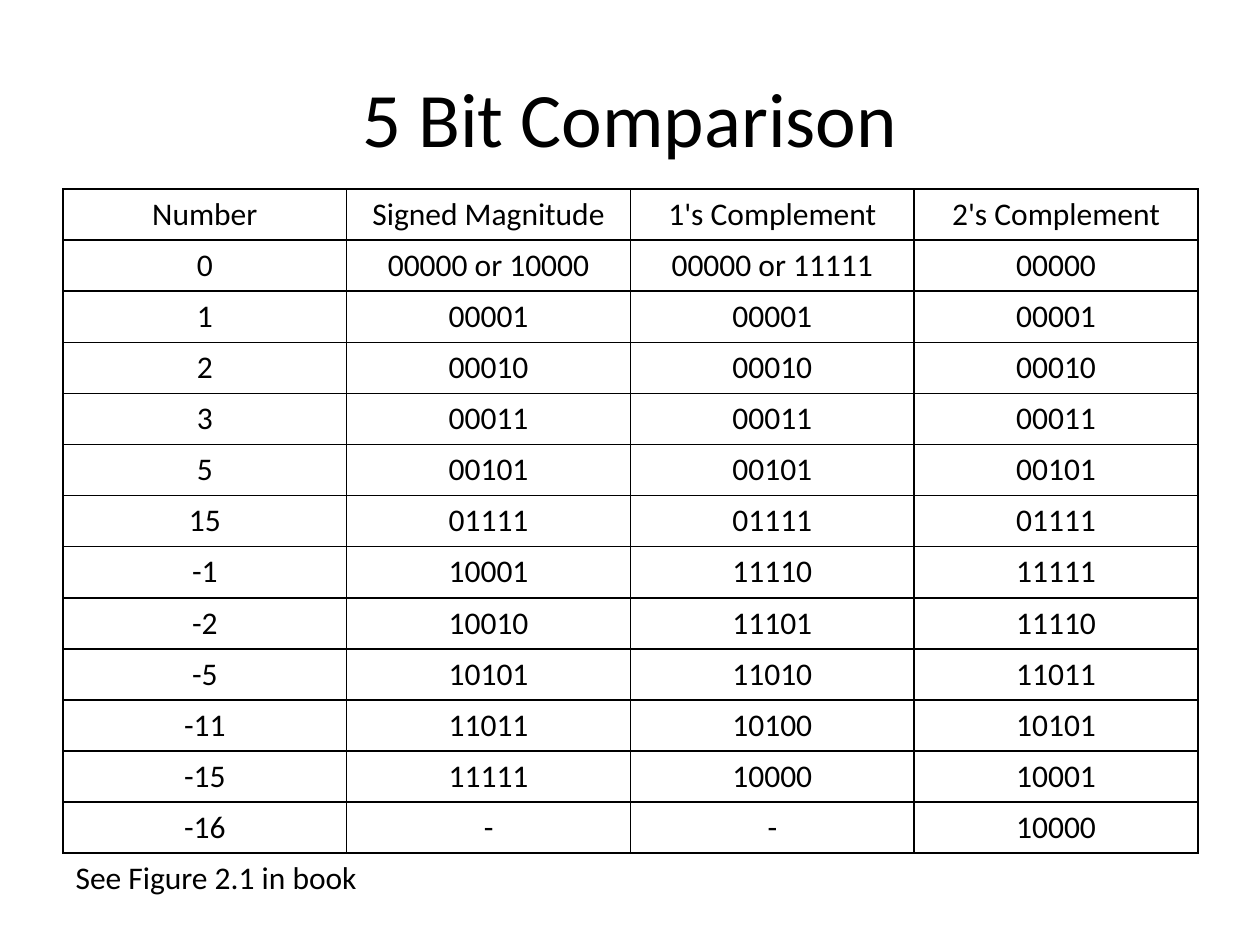
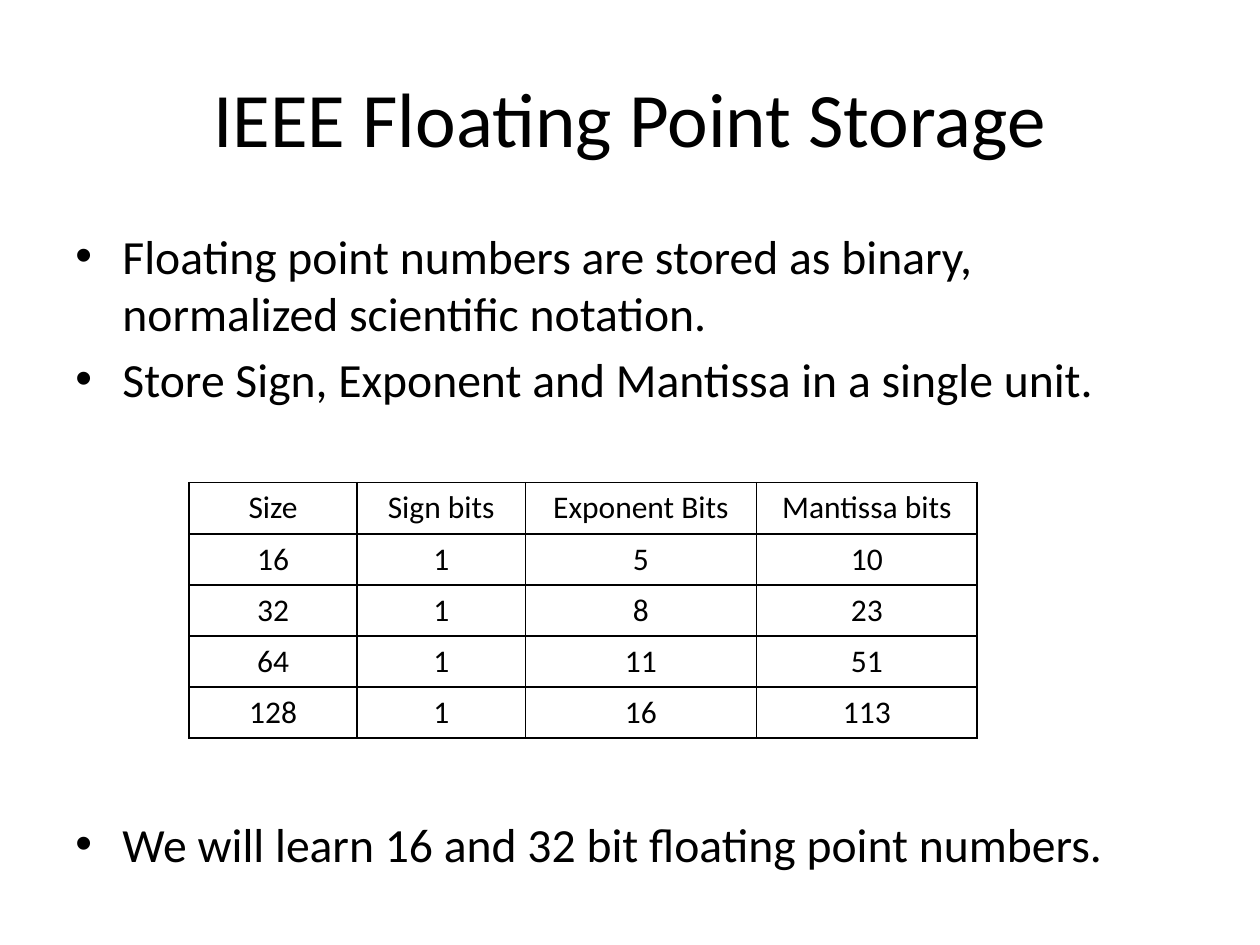
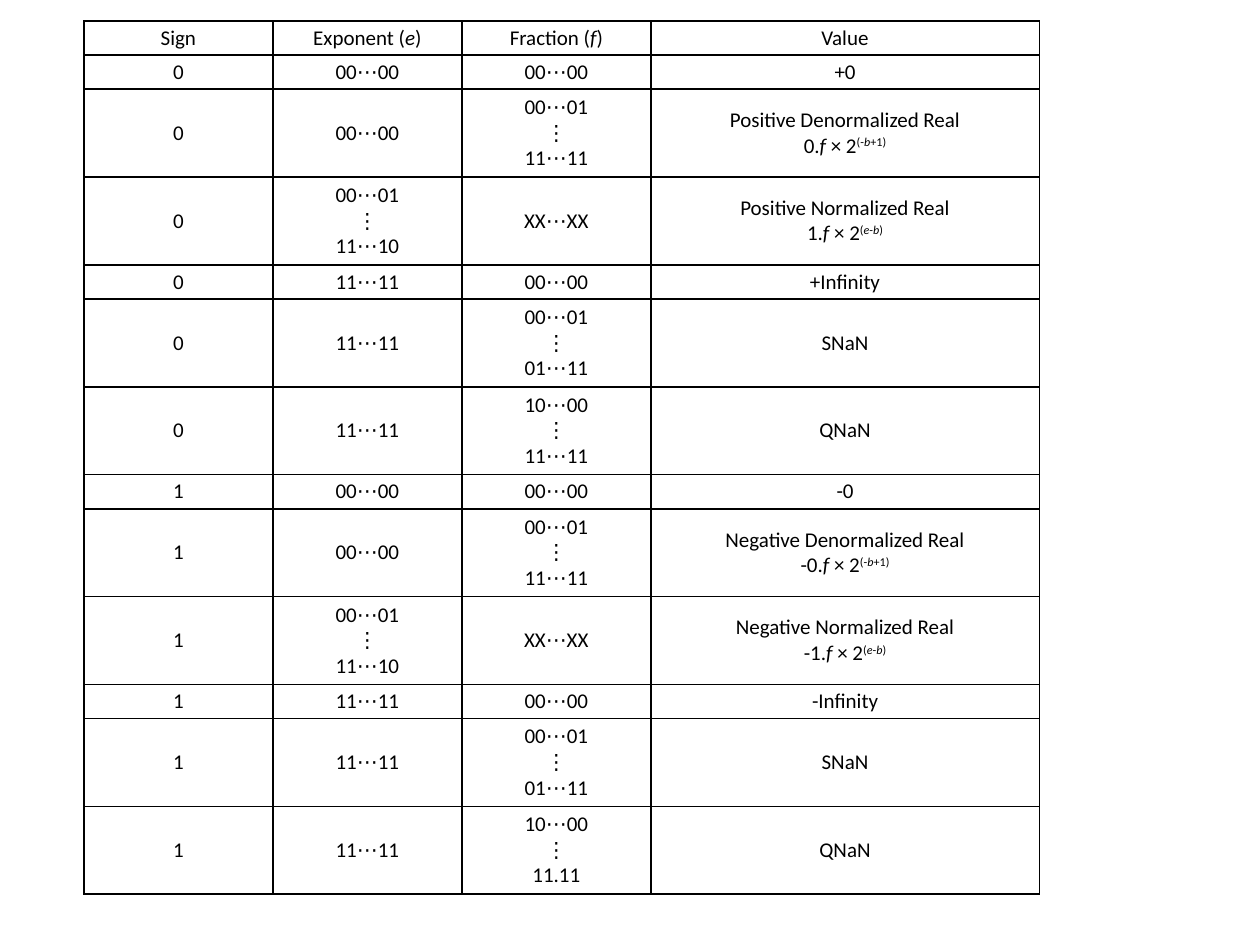
from lxml import etree
from pptx import Presentation
from pptx.dml.color import RGBColor
from pptx.enum.text import MSO_ANCHOR, PP_ALIGN
from pptx.oxml.ns import qn
from pptx.util import Cm, Pt

TOP, MIDDLE = MSO_ANCHOR.TOP, MSO_ANCHOR.MIDDLE
LEFT, CENTER = PP_ALIGN.LEFT, PP_ALIGN.CENTER

MARGIN = 1.27
CONTENT_WIDTH = 22.86
ROW_HEIGHT = 1.03

COMPARISON = [
    ["Number", "Signed Magnitude", "1's Complement", "2's Complement"],
    ["0", "00000 or 10000", "00000 or 11111", "00000"],
    ["1", "00001", "00001", "00001"],
    ["2", "00010", "00010", "00010"],
    ["3", "00011", "00011", "00011"],
    ["5", "00101", "00101", "00101"],
    ["15", "01111", "01111", "01111"],
    ["-1", "10001", "11110", "11111"],
    ["-2", "10010", "11101", "11110"],
    ["-5", "10101", "11010", "11011"],
    ["-11", "11011", "10100", "10101"],
    ["-15", "11111", "10000", "10001"],
    ["-16", "-", "-", "10000"],
]

STORAGE = [
    ["Size", "Sign bits", "Exponent Bits", "Mantissa bits"],
    ["16", "1", "5", "10"],
    ["32", "1", "8", "23"],
    ["64", "1", "11", "51"],
    ["128", "1", "16", "113"],
]


def color(hex_string):
    return RGBColor.from_string(hex_string)


def encoding_rows(sign_bit, sign, zero, word, last_fraction):
    """Rows for one sign; *x* marks italics and ^ starts a superscript."""
    zeros, ones = "00⋯00", "11⋯11"
    rows = [
        [zeros, zeros, f"{zero}0"],
        [zeros, "00⋯01\n⋮\n11⋯11", f"{word} Denormalized Real\n{sign}0.*f* × 2^(-*b*+1)"],
        ["00⋯01\n⋮\n11⋯10", "XX⋯XX", f"{word} Normalized Real\n{sign}1.*f* × 2^(*e*-*b*)"],
        [ones, zeros, f"{zero}Infinity"],
        [ones, "00⋯01\n⋮\n01⋯11", "SNaN"],
        [ones, f"10⋯00\n⋮\n{last_fraction}", "QNaN"],
    ]
    return [[sign_bit] + row for row in rows]


class Deck:
    font = "Calibri"
    ink = "000000"
    title_size = 44
    body_size = 27.2
    table_size = 18

    def __init__(self):
        self.prs = Presentation()
        self.prs.slide_width, self.prs.slide_height = Cm(25.4), Cm(19.05)
        self.slide = None

    def new_slide(self):
        self.slide = self.prs.slides.add_slide(self.prs.slide_layouts[6])

    def style(self, font, size):
        font.name, font.size = self.font, Pt(size)
        font.color.rgb = color(self.ink)

    def text_frame(self, left, top, width, height, anchor):
        box = self.slide.shapes.add_textbox(Cm(left), Cm(top), Cm(width), Cm(height))
        frame = box.text_frame
        frame.word_wrap = True
        frame.vertical_anchor = anchor
        return frame

    def title(self, text):
        frame = self.text_frame(MARGIN, 0.76, CONTENT_WIDTH, 3.18, MIDDLE)
        frame.text = text
        heading = frame.paragraphs[0]
        heading.alignment = CENTER
        self.style(heading.runs[0].font, self.title_size)

    def bullets(self, points):
        """Each point is its text and the space before it in points."""
        frame = self.text_frame(MARGIN, 4.45, CONTENT_WIDTH, 12.57, TOP)
        frame.text = "\n".join(text for text, _ in points)
        for paragraph, (_, space) in zip(frame.paragraphs, points):
            paragraph.space_before = Pt(space)
            props = paragraph._p.get_or_add_pPr()
            props.set("marL", str(Cm(0.95)))
            props.set("indent", str(-Cm(0.95)))
            etree.SubElement(props, qn("a:buFont"), typeface="Arial")
            etree.SubElement(props, qn("a:buChar"), char="•")
            self.style(paragraph.runs[0].font, self.body_size)

    def marked_text(self, paragraph, text, size):
        """Write text in which *x* is italic and ^ raises the rest."""
        for level, part in enumerate(text.split("^")):
            for i, piece in enumerate(part.split("*")):
                for j, line in enumerate(piece.split("\n")):
                    if j:
                        paragraph.add_line_break()
                    if not line:
                        continue
                    run = paragraph.add_run()
                    run.text = line
                    self.style(run.font, size)
                    if i % 2:
                        run.font.italic = True
                    if level:
                        run._r.get_or_add_rPr().set("baseline", "30000")
        for line_break in paragraph._p.findall(qn("a:br")):
            etree.SubElement(line_break, qn("a:rPr"), sz=str(size * 100))

    def borders(self, cell, sides):
        """Draw the given sides (of L, R, T, B) and hide the others."""
        props = cell._tc.get_or_add_tcPr()
        for position, side in enumerate("LRTB"):
            line = etree.Element(qn(f"a:ln{side}"), w=str(Pt(1)))
            if side in sides:
                fill = etree.SubElement(line, qn("a:solidFill"))
                etree.SubElement(fill, qn("a:srgbClr"), val=self.ink)
            else:
                etree.SubElement(line, qn("a:noFill"))
            props.insert(position, line)

    def cell(self, cell, text, size, align=CENTER, sides="LRTB"):
        cell.fill.background()
        self.borders(cell, sides)
        paragraph = cell.text_frame.paragraphs[0]
        paragraph.alignment = align
        self.marked_text(paragraph, text, size)

    def table(self, left, top, widths, heights, rows, size=table_size, compact=False):
        """Add a ruled grid; heights may cover more rows than are filled."""
        frame = self.slide.shapes.add_table(
            len(heights), len(widths), Cm(left), Cm(top), Cm(sum(widths)), Cm(sum(heights)))
        grid = frame.table
        grid.first_row = grid.horz_banding = False
        for column, width in zip(grid.columns, widths):
            column.width = Cm(width)
        for row, height in zip(grid.rows, heights):
            row.height = Cm(height)
        for r, row in enumerate(rows):
            for c, text in enumerate(row):
                cell = grid.cell(r, c)
                if compact:
                    cell.vertical_anchor = MIDDLE
                    cell.margin_left = cell.margin_right = Cm(0.13)
                    cell.margin_top = cell.margin_bottom = Cm(0.05)
                self.cell(cell, text, size)
        return grid

    def table_note(self, grid, text):
        """Fill the last row with a note across all columns."""
        last_row, last_column = len(grid.rows) - 1, len(grid.columns) - 1
        note = grid.cell(last_row, 0)
        note.merge(grid.cell(last_row, last_column))
        self.cell(note, text, self.table_size, LEFT, "T")
        for c in range(1, last_column + 1):
            self.borders(grid.cell(last_row, c), "T")


def comparison_slide(deck):
    deck.new_slide()
    deck.title("5 Bit Comparison")
    heights = [ROW_HEIGHT] * (len(COMPARISON) + 1)
    grid = deck.table(MARGIN, 3.81, [5.72] * 4, heights, COMPARISON)
    deck.table_note(grid, "See Figure 2.1 in book")


def storage_slide(deck):
    deck.new_slide()
    deck.title("IEEE Floating Point Storage")
    deck.bullets([
        ("Floating point numbers are stored as binary, normalized scientific notation.", 0),
        ("Store Sign, Exponent and Mantissa in a single unit.", 5),
        ("We will learn 16 and 32 bit floating point numbers.", 233),
    ])
    deck.table(3.81, 9.73, [3.39, 3.39, 4.66, 4.45], [ROW_HEIGHT] * len(STORAGE), STORAGE)


def encoding_slide(deck):
    deck.new_slide()
    rows = [["Sign", "Exponent (*e*)", "Fraction (*f*)", "Value"]]
    rows += encoding_rows("0", "", "+", "Positive", "11⋯11")
    rows += encoding_rows("1", "-", "-", "Negative", "11.11")
    heights = [1.77 if any("⋮" in text for text in row) else 0.69 for row in rows]
    deck.table(1.69, 0.42, [3.81] * 3 + [7.83], heights, rows, size=12, compact=True)


def main():
    deck = Deck()
    comparison_slide(deck)
    storage_slide(deck)
    encoding_slide(deck)
    deck.prs.save("out.pptx")


if __name__ == "__main__":
    main()
